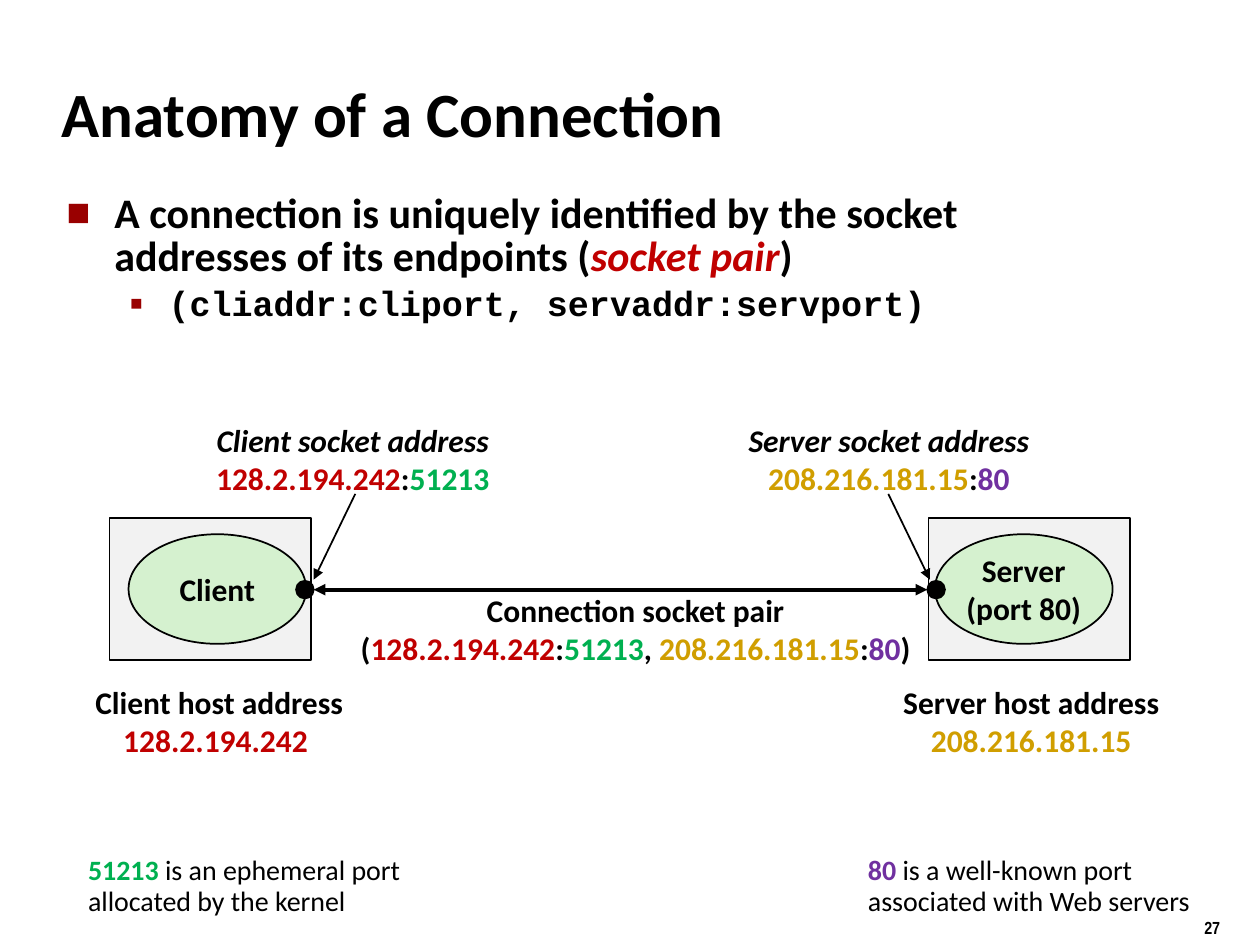
import lxml.etree
import pptx
import pptx.dml.color
import pptx.enum.shapes
import pptx.enum.text
import pptx.oxml.ns
import pptx.util

Inches = pptx.util.Inches
Pt = pptx.util.Pt
RGBColor = pptx.dml.color.RGBColor
Shape = pptx.enum.shapes.MSO_SHAPE
Align = pptx.enum.text.PP_ALIGN
Anchor = pptx.enum.text.MSO_ANCHOR
qn = pptx.oxml.ns.qn

BLACK = RGBColor(0x00, 0x00, 0x00)
HOST_GREY = RGBColor(0xF2, 0xF2, 0xF2)
PROCESS_GREEN = RGBColor(0xD5, 0xF1, 0xCF)
RED = RGBColor(0xC0, 0x00, 0x00)
GREEN = RGBColor(0x00, 0xB0, 0x50)
GOLD = RGBColor(0xD0, 0x9E, 0x00)
PURPLE = RGBColor(0x70, 0x30, 0xA0)
BULLET_RED = RGBColor(0x99, 0x00, 0x00)


class SlideBuilder:
    """Holds the text style and the slide being filled."""

    style = {"name": "Calibri", "size": Pt(18), "bold": True, "italic": False}

    def __init__(self, slide):
        self.slide = slide

    def fill_text(self, frame, lines, align=Align.LEFT, anchor=Anchor.TOP,
                  wrap=False, spacing=None, **font):
        """Each line is a list of runs: (text, colour[, font overrides])."""
        frame_format = {"word_wrap": wrap, "vertical_anchor": anchor}
        for key, value in frame_format.items():
            setattr(frame, key, value)
        for index, line in enumerate(lines):
            paragraph = frame.paragraphs[0] if index == 0 else frame.add_paragraph()
            paragraph.alignment = align
            if spacing:
                paragraph.line_spacing = spacing
            for text, color, *overrides in line:
                run = paragraph.add_run()
                run.text = text
                run.font.color.rgb = color
                values = {**self.style, **font, **(overrides[0] if overrides else {})}
                for key, value in values.items():
                    setattr(run.font, key, value)
        return frame

    def text(self, box, lines, **layout):
        textbox = self.slide.shapes.add_textbox(*map(Inches, box))
        return self.fill_text(textbox.text_frame, lines, **layout)

    def label(self, box, lines, **layout):
        return self.text(box, lines, align=Align.CENTER, anchor=Anchor.MIDDLE, **layout)

    def shape(self, kind, box, fill, lines=()):
        shape = self.slide.shapes.add_shape(kind, *map(Inches, box))
        shape.shadow.inherit = False
        shape.fill.solid()
        shape.fill.fore_color.rgb = fill
        shape.line.color.rgb = BLACK
        shape.line.width = Pt(1)
        if lines:
            self.fill_text(shape.text_frame, lines, align=Align.CENTER, anchor=Anchor.MIDDLE)

    def arrow(self, start, end, width=1, both=False):
        line = self.slide.shapes.add_connector(
            pptx.enum.shapes.MSO_CONNECTOR.STRAIGHT, *map(Inches, (*start, *end)))
        line.line.color.rgb = BLACK
        line.line.width = Pt(width)
        outline = line._element.spPr.find(qn("a:ln"))
        for tag in ("a:headEnd", "a:tailEnd") if both else ("a:tailEnd",):
            lxml.etree.SubElement(outline, qn(tag), type="triangle")
        lxml.etree.SubElement(line._element.spPr, qn("a:effectLst"))

    def bullet(self, paragraph, char, percent, margin, hanging, spacing, before=None):
        properties = paragraph._p.get_or_add_pPr()
        properties.set("marL", str(Inches(margin)))
        properties.set("indent", str(-Inches(hanging)))
        color = lxml.etree.SubElement(properties, qn("a:buClr"))
        lxml.etree.SubElement(color, qn("a:srgbClr"), val=str(BULLET_RED))
        lxml.etree.SubElement(properties, qn("a:buSzPct"), val=str(percent * 1000))
        lxml.etree.SubElement(properties, qn("a:buFont"), typeface="Calibri")
        lxml.etree.SubElement(properties, qn("a:buChar"), char=char)
        paragraph.line_spacing = spacing
        if before:
            paragraph.space_before = Pt(before)


def main():
    deck = pptx.Presentation()
    deck.slide_width, deck.slide_height = Inches(10), Inches(7.5)
    page = SlideBuilder(deck.slides.add_slide(deck.slide_layouts[6]))

    client_ip, client_port = ("128.2.194.242", RED), ("51213", GREEN)
    server_ip, server_port = ("208.216.181.15", GOLD), ("80", PURPLE)
    colon = (":", BLACK)
    client_socket = [client_ip, colon, client_port]
    server_socket = [server_ip, colon, server_port]
    italic = {"italic": True}

    # Page number, title and main points
    page.text((9.46, 7.23, 0.74, 0.26), [[("27", BLACK)]],
              name="Arial Narrow", size=Pt(10))
    page.text((0.39, 0.48, 8.3, 0.83), [[("Anatomy of a Connection", BLACK)]],
              anchor=Anchor.MIDDLE, wrap=True, size=Pt(36))
    points = page.text((0.43, 1.49, 8.64, 1.26), [
        [("A connection is uniquely identified by the socket addresses of its endpoints (", BLACK),
         ("socket pair", RED, italic), (")", BLACK)],
        [("(cliaddr:cliport, servaddr:servport)", BLACK,
          {"name": "Courier New", "size": Pt(20)})],
    ], wrap=True, size=Pt(24))
    identity, tuple_form = points.paragraphs
    tuple_form.level = 1
    page.bullet(identity, "■", 60, 0.38, 0.38, 0.85)
    page.bullet(tuple_form, "▪", 110, 0.81, 0.31, 0.9, before=4)

    # Hosts and the processes running on them
    hosts = [
        (7.37, 7.42, [[("Server", BLACK)], [("(port 80)", BLACK)]]),
        (0.87, 1.02, [[("Client", BLACK)]]),
    ]
    for host_left, process_left, process_name in hosts:
        page.shape(Shape.RECTANGLE, (host_left, 4.11, 1.6, 1.13), HOST_GREY)
        page.shape(Shape.OVAL, (process_left, 4.24, 1.41, 0.87), PROCESS_GREEN, process_name)

    # Connection between the two socket endpoints
    page.label((2.51, 4.64, 5.07, 0.7), [
        [("Connection socket pair", BLACK)],
        [("(", BLACK), *client_socket, (", ", BLACK), *server_socket, (")", BLACK)],
    ])
    page.arrow((2.49, 4.68), (7.36, 4.68), width=2.25, both=True)
    for endpoint_left in (2.35, 7.36):
        page.shape(Shape.OVAL, (endpoint_left, 4.61, 0.14, 0.14), BLACK)

    # Socket addresses pointing at the endpoints
    page.label((1.45, 3.29, 2.7, 0.7),
               [[("Client socket address", BLACK, italic)], client_socket])
    page.label((5.64, 3.29, 2.83, 0.7),
               [[("Server socket address", BLACK, italic)], server_socket], wrap=True)
    page.arrow((2.82, 3.92), (2.49, 4.6))
    page.arrow((7.05, 3.92), (7.38, 4.6))

    # Host addresses
    page.label((0.45, 5.37, 2.58, 0.7),
               [[("Client host address", BLACK)], [("128.2.194.242 ", RED)]])
    page.label((6.86, 5.37, 2.65, 0.7),
               [[("Server host address", BLACK)], [server_ip]])

    # Notes on the ports
    port_notes = [
        ((0.6, 6.75, 3.11, 0.58), "51213 ", GREEN,
         "is an ephemeral port", "allocated by the kernel"),
        ((6.79, 6.75, 3.14, 0.58), "80 ", PURPLE,
         "is a well-known port", "associated with Web servers"),
    ]
    for box, port, color, meaning, usage in port_notes:
        page.text(box, [[(port, color, {"bold": True}), (meaning, BLACK)], [(usage, BLACK)]],
                  spacing=0.9, size=Pt(16), bold=False)

    deck.save("out.pptx")


if __name__ == "__main__":
    main()
